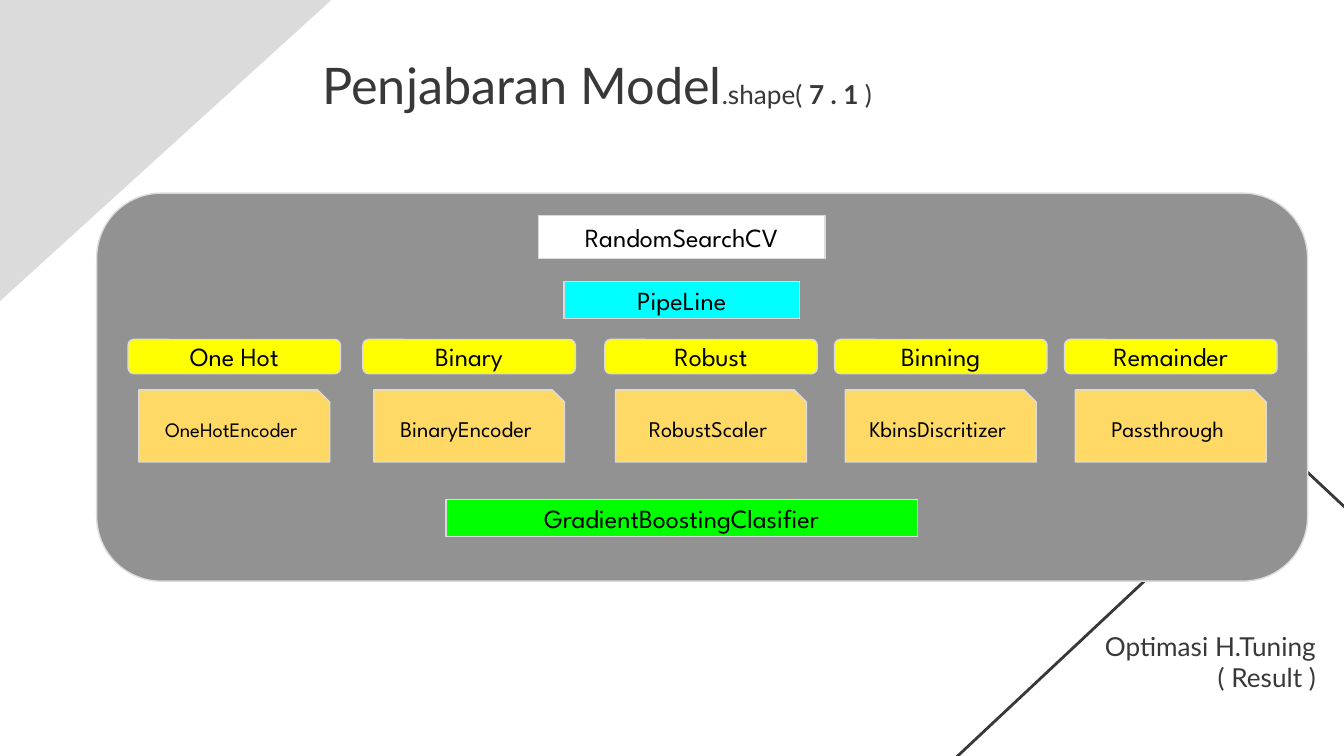
from pptx import Presentation
from pptx.dml.color import RGBColor
from pptx.enum.shapes import MSO_SHAPE as Shape
from pptx.enum.text import MSO_ANCHOR as Anchor, PP_ALIGN as Align
from pptx.util import Pt

INK = "383838"
EDGE = "DBDBDB"
CENTER = 364.5

STEPS = [
    ("One Hot", "OneHotEncoder", 125.5, 11),
    ("Binary", "BinaryEncoder", 251.3, 12),
    ("Robust", "RobustScaler", 380.9, 12),
    ("Binning", "KbinsDiscritizer", 504, 12),
    ("Remainder", "Passthrough", 627.2, 12),
]


def color(code):
    return RGBColor.from_string(code)


def write(paragraph, text, size=14, font="Lato", ink=INK, bold=False, align=Align.LEFT):
    paragraph.alignment = align
    run = paragraph.add_run()
    run.text = text
    run.font.size = Pt(size)
    run.font.name = font
    run.font.bold = bold
    run.font.color.rgb = color(ink)


def set_margins(frame):
    frame.word_wrap = True
    frame.margin_left = frame.margin_right = Pt(7.2)
    frame.margin_top = frame.margin_bottom = Pt(7.2)


def add_text_area(slide, left, top, width, height):
    frame = slide.shapes.add_textbox(Pt(left), Pt(top), Pt(width), Pt(height)).text_frame
    set_margins(frame)
    return frame


def add_figure(slide, kind, left, top, width, height, fill=None, line=None, weight=0.75):
    figure = slide.shapes.add_shape(kind, Pt(left), Pt(top), Pt(width), Pt(height))
    figure.shadow.inherit = False
    if fill:
        figure.fill.solid()
        figure.fill.fore_color.rgb = color(fill)
    else:
        figure.fill.background()
    if line:
        figure.line.color.rgb = color(line)
        figure.line.width = Pt(weight)
    else:
        figure.line.fill.background()
    return figure


def add_stage(slide, text, center, top, width, height, fill, kind=Shape.RECTANGLE, size=14):
    stage = add_figure(slide, kind, center - width / 2, top, width, height, fill, EDGE)
    frame = stage.text_frame
    set_margins(frame)
    frame.vertical_anchor = Anchor.MIDDLE
    write(frame.paragraphs[0], text, size=size, font="League Spartan", ink="000000",
          align=Align.CENTER)


def add_backdrop(slide):
    corner = add_figure(slide, Shape.RIGHT_TRIANGLE, 0, -2.9, 180.7, 164.2, EDGE)
    corner._element.spPr.get_or_add_xfrm().set("flipV", "1")
    add_figure(slide, Shape.ISOSCELES_TRIANGLE, 476.6, 241.2, 422.6, 198, line=INK, weight=1.5)


def add_headings(slide):
    title = add_text_area(slide, 165.6, 21.6, 409, 41.8).paragraphs[0]
    write(title, "Penjabaran Model", size=27)
    write(title, ".shape( ")
    write(title, "7 . 1 ", bold=True)
    write(title, ")")

    caption = add_text_area(slide, 582.5, 330.5, 129.6, 65.5)
    write(caption.paragraphs[0], "Optimasi H.Tuning", align=Align.RIGHT)
    write(caption.add_paragraph(), "( Result )", align=Align.RIGHT)


def add_model(slide):
    add_figure(slide, Shape.ROUNDED_RECTANGLE, 51.8, 103.5, 648.7, 207.9, "929292", EDGE)
    add_stage(slide, "RandomSearchCV", CENTER + 0.7, 115.4, 153.4, 23.3, "FFFFFF")
    add_stage(slide, "PipeLine", CENTER + 0.7, 150.8, 126, 19.8, "00FFFF")
    for name, transformer, center, size in STEPS:
        add_stage(slide, name, center, 181.9, 113.8, 18.3, "FFFF00",
                  kind=Shape.ROUNDED_RECTANGLE)
        add_stage(slide, transformer, center, 208.9, 102.2, 38.6, "FFD966",
                  kind=Shape.SNIP_1_RECTANGLE, size=size)
    add_stage(slide, "GradientBoostingClasifier", CENTER + 0.7, 267.6, 252.7, 19.8, "00FF00")


def main():
    deck = Presentation()
    deck.slide_width, deck.slide_height = Pt(720), Pt(405)
    slide = deck.slides.add_slide(deck.slide_layouts[6])
    add_backdrop(slide)
    add_headings(slide)
    add_model(slide)
    deck.save("out.pptx")


if __name__ == "__main__":
    main()
